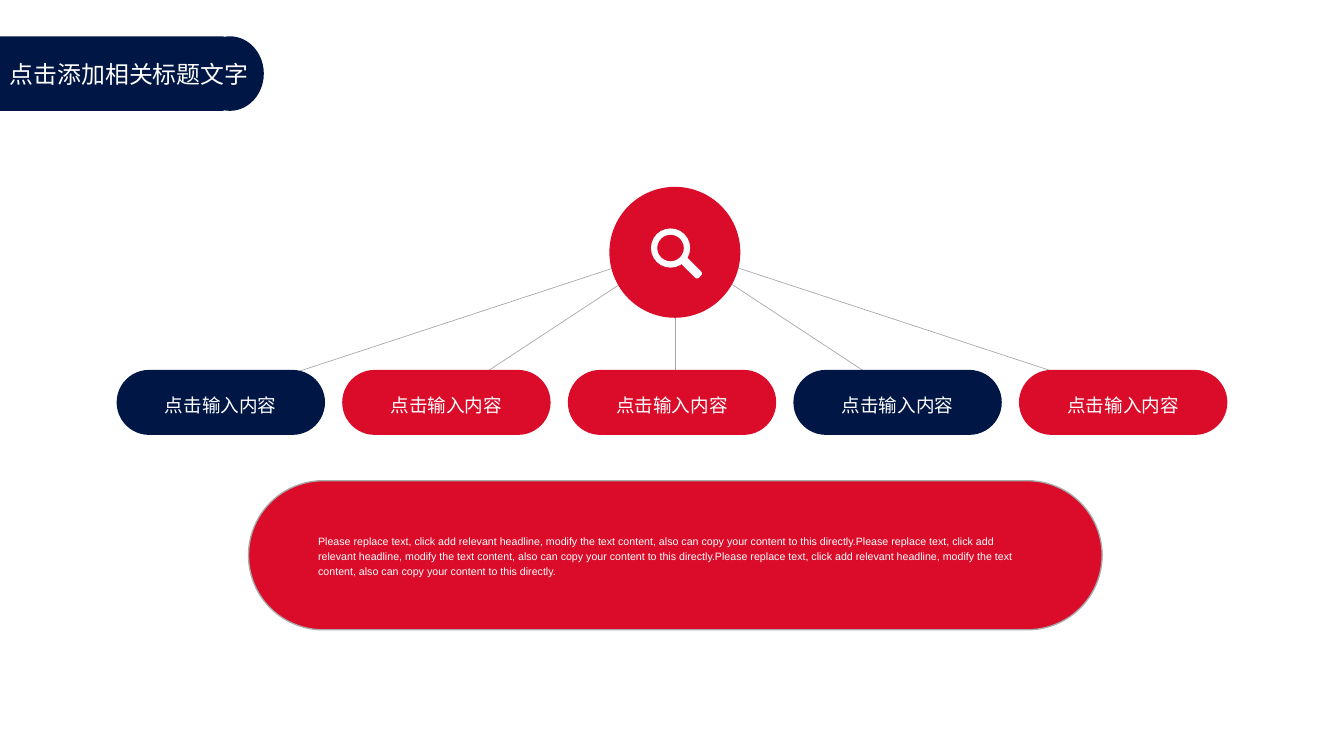
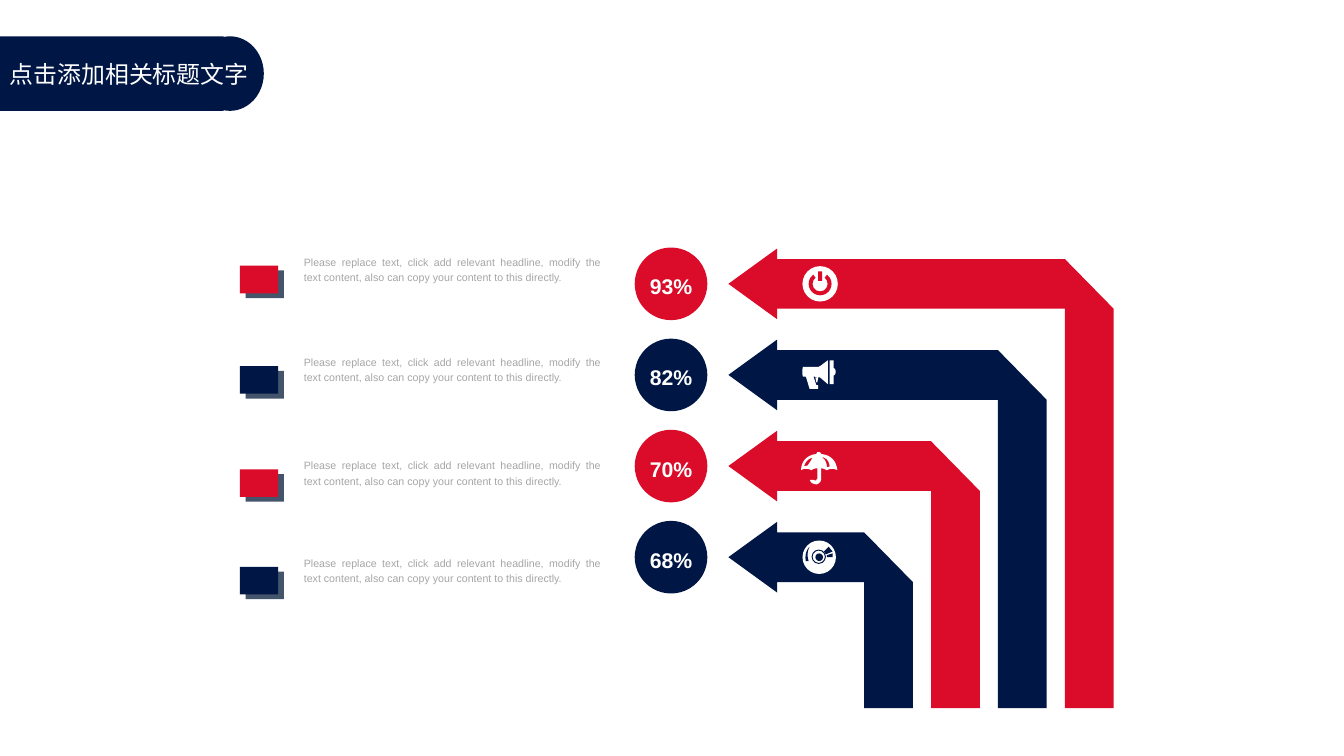
from dataclasses import dataclass

from lxml.etree import SubElement
from pptx import Presentation
from pptx.dml.color import RGBColor
from pptx.enum.shapes import MSO_CONNECTOR, MSO_SHAPE
from pptx.enum.text import MSO_ANCHOR, MSO_AUTO_SIZE, PP_ALIGN
from pptx.oxml.ns import qn
from pptx.shapes.autoshape import Shape
from pptx.slide import Slide, SlideLayout
from pptx.text.text import TextFrame
from pptx.util import Inches, Pt

HUE = {
    "navy": "001746",
    "red": "DA0C2A",
    "white": "FFFFFF",
    "grey": "A6A6A6",
    "edge": "A6AAA9",
    "slate": "44546A",
}
CJK = "Noto Sans CJK SC"
HEAD = "点击添加相关标题文字"
ITEM = "点击输入内容"
BODY = (
    "Please replace text, click add relevant headline, modify the text content, "
    "also can copy your content to this directly."
)
Point = tuple[float, ...]


@dataclass(frozen=True)
class Style:
    size: int
    hue: str = "white"
    align: PP_ALIGN = PP_ALIGN.LEFT
    bold: bool = False
    font: str = "Arial"
    lead: float = 1.2


@dataclass(frozen=True)
class Row:
    share: str
    hue: str
    top: float


TITLE = Style(18, font=CJK, lead=1.0)
PILL = Style(14, align=PP_ALIGN.CENTER)
PANEL = Style(8)
SHARE = Style(16, align=PP_ALIGN.CENTER, bold=True)
NOTE = Style(8, "grey", PP_ALIGN.JUSTIFY)

PILLS = ["navy", "red", "red", "navy", "red"]
ROWS = [
    Row("93%", "red", 2.6),
    Row("82%", "navy", 3.65),
    Row("70%", "red", 4.73),
    Row("68%", "navy", 5.75),
]

HORN: list[list[Point]] = [
    [(8.4, 3.84), (8.56, 3.84), (8.58, 3.83), (8.66, 3.77), (8.66, 4.02),
     (8.58, 3.95), (8.51, 3.94), (8.54, 4.03), (8.56, 4.03), (8.56, 4.07),
     (8.47, 4.07), (8.43, 3.94), (8.4, 3.94), (8.39, 3.91, 8.39, 3.87, 8.4, 3.84)],
    [(8.68, 3.77), (8.72, 3.77), (8.72, 3.85),
     (8.75, 3.86, 8.75, 3.92, 8.72, 3.93), (8.72, 4.02), (8.68, 4.02)],
    [(8.53, 3.95), (8.56, 3.95), (8.55, 4.0), (8.54, 4.0)],
]
SHADE: list[list[Point]] = [
    [(8.47, 5.02), (8.51, 5.02), (8.53, 5.03), (8.55, 5.01), (8.55, 4.9),
     (8.52, 4.9, 8.5, 4.91, 8.49, 4.92), (8.45, 4.9, 8.41, 4.9, 8.38, 4.92),
     (8.38, 4.83, 8.44, 4.76, 8.54, 4.75), (8.55, 4.73), (8.58, 4.73),
     (8.59, 4.75), (8.7, 4.76, 8.75, 4.83, 8.76, 4.92),
     (8.72, 4.9, 8.69, 4.9, 8.65, 4.92), (8.63, 4.91, 8.61, 4.9, 8.59, 4.9),
     (8.59, 5.01), (8.59, 5.03, 8.58, 5.05, 8.56, 5.06),
     (8.55, 5.07, 8.53, 5.07, 8.51, 5.06), (8.49, 5.06, 8.48, 5.04, 8.47, 5.02)],
    [(8.65, 4.89), (8.68, 4.88), (8.67, 4.81, 8.64, 4.79, 8.59, 4.78),
     (8.63, 4.8, 8.65, 4.84, 8.65, 4.89)],
    [(8.41, 4.88), (8.45, 4.87), (8.47, 4.84, 8.49, 4.81, 8.5, 4.79),
     (8.45, 4.8, 8.43, 4.83, 8.41, 4.88)],
]
MARKS: list[list[Point]] = [
    [(8.47, 5.72), (8.43, 5.76, 8.42, 5.82, 8.43, 5.87), (8.46, 5.87),
     (8.44, 5.81, 8.45, 5.76, 8.47, 5.72)],
    [(8.62, 5.77), (8.64, 5.8), (8.71, 5.77), (8.67, 5.72)],
    [(8.65, 5.81), (8.65, 5.83), (8.71, 5.83), (8.71, 5.79)],
]


def tint(hue: str) -> RGBColor:
    return RGBColor.from_string(HUE[hue])


def paint(shape: Shape, hue: str) -> Shape:
    shape.shadow.inherit = False
    shape.fill.solid()
    shape.fill.fore_color.rgb = tint(hue)
    shape.line.fill.background()
    return shape


def draw(slide: Slide, kind: MSO_SHAPE, left: float, top: float, wide: float,
         high: float, hue: str, *tweaks: float) -> Shape:
    shape = slide.shapes.add_shape(
        kind, Inches(left), Inches(top), Inches(wide), Inches(high))
    for k, value in enumerate(tweaks):
        shape.adjustments[k] = value
    return paint(shape, hue)


def disc(slide: Slide, x: float, y: float, size: float, hue: str) -> Shape:
    return draw(slide, MSO_SHAPE.OVAL, x - size / 2, y - size / 2, size, size, hue)


def bend(start: Point, curve: Point) -> list[Point]:
    x0, y0 = start
    x1, y1, x2, y2, x3, y3 = curve
    dots = []
    for k in range(1, 9):
        t = k / 8
        u = 1 - t
        a, b, c, d = u**3, 3 * u * u * t, 3 * u * t * t, t**3
        dots.append((a * x0 + b * x1 + c * x2 + d * x3,
                     a * y0 + b * y1 + c * y2 + d * y3))
    return dots


def trace(slide: Slide, loops: list[list[Point]], hue: str) -> Shape:
    pen = None
    for loop in loops:
        dots = [loop[0]]
        for step in loop[1:]:
            dots += bend(dots[-1], step) if len(step) == 6 else [step]
        spots = [(Inches(x), Inches(y)) for x, y in dots]
        if pen is None:
            pen = slide.shapes.build_freeform(*spots[0], scale=1.0)
        else:
            pen.move_to(*spots[0])
        pen.add_line_segments(spots[1:], close=True)
    return paint(pen.convert_to_shape(), hue)


def write(frame: TextFrame, text: str, style: Style) -> None:
    para = frame.paragraphs[0]
    para.alignment = style.align
    para.line_spacing = style.lead
    run = para.add_run()
    run.text = text
    font = run.font
    font.name = style.font
    font.size = Pt(style.size)
    font.bold = style.bold
    font.color.rgb = tint(style.hue)
    east = SubElement(run._r.get_or_add_rPr(), qn("a:ea"))
    east.set("typeface", CJK)


def label(shape: Shape, text: str, style: Style, wrap: bool = True,
          left: float = 0, right: float = 0) -> None:
    frame = shape.text_frame
    frame.word_wrap = wrap
    frame.vertical_anchor = MSO_ANCHOR.MIDDLE
    frame.margin_left, frame.margin_right = Inches(left), Inches(right)
    frame.margin_top = frame.margin_bottom = 0
    write(frame, text, style)


def band(slide: Slide, layout: SlideLayout) -> None:
    parts = [
        draw(slide, MSO_SHAPE.RECTANGLE, 0, 0.38, 2.34, 0.78, "navy"),
        draw(slide, MSO_SHAPE.OVAL, 2.05, 0.38, 0.71, 0.78, "navy"),
    ]
    for k, part in enumerate(parts):
        part.element.xpath(".//p:cNvPr")[0].set("id", str(20 + k))
        layout.shapes.element.insert(2 + k, part.element)


def head(slide: Slide) -> None:
    title = slide.shapes.title
    title.left, title.top = Inches(0), Inches(0.57)
    title.width, title.height = Inches(2.76), Inches(0.4)
    title.text_frame.auto_size = MSO_AUTO_SIZE.NONE
    label(title, HEAD, TITLE, left=0.1, right=0.1)


def ray(slide: Slide, x: float) -> None:
    line = slide.shapes.add_connector(
        MSO_CONNECTOR.STRAIGHT, Inches(7.07), Inches(2.59), Inches(x), Inches(4.16))
    line.line.color.rgb = tint("grey")
    line.line.width = Pt(0.5)
    SubElement(line.element.spPr, qn("a:effectLst"))


def hub(slide: Slide) -> None:
    for k in range(len(PILLS)):
        ray(slide, 2.29 + 2.39 * k)
    for k, hue in enumerate(PILLS):
        pill = draw(slide, MSO_SHAPE.ROUNDED_RECTANGLE,
                    1.22 + 2.36 * k, 3.87, 2.18, 0.68, hue, 0.5)
        label(pill, ITEM, PILL)
    panel = draw(slide, MSO_SHAPE.ROUNDED_RECTANGLE,
                 2.6, 5.03, 8.93, 1.56, "red", 0.5)
    panel.line.color.rgb = tint("edge")
    panel.line.width = Pt(1)
    label(panel, BODY * 3, PANEL, left=0.5, right=0.59)
    disc(slide, 7.06, 2.64, 1.37, "red")
    draw(slide, MSO_SHAPE.DONUT, 6.81, 2.39, 0.41, 0.41, "white", 0.16)
    grip = draw(slide, MSO_SHAPE.ROUNDED_RECTANGLE,
                7.11, 2.76, 0.25, 0.09, "white", 0.3)
    grip.rotation = 45


def arrow(slide: Slide, mid: float, edge: float, hue: str) -> None:
    tip, neck, foot = 7.62, 8.13, 7.41
    wing, half, thick = 0.37, 0.26, 0.51
    trace(slide, [[
        (tip, mid), (neck, mid - wing), (neck, mid - half),
        (edge - thick, mid - half), (edge, mid + half), (edge, foot),
        (edge - thick, foot), (edge - thick, mid + half),
        (neck, mid + half), (neck, mid + wing),
    ]], hue)


def note(slide: Slide, row: Row) -> None:
    for x, y, hue in ((2.57, 0.23, "slate"), (2.51, 0.18, row.hue)):
        draw(slide, MSO_SHAPE.RECTANGLE, x, row.top + y, 0.4, 0.29, hue)
    box = slide.shapes.add_textbox(
        Inches(3.08), Inches(row.top), Inches(3.31), Inches(0.41))
    box.text_frame.word_wrap = True
    write(box.text_frame, BODY, NOTE)


def icons(slide: Slide) -> None:
    disc(slide, 8.58, 2.97, 0.37, "white")
    draw(slide, MSO_SHAPE.BLOCK_ARC, 8.46, 2.85, 0.24, 0.24, "red",
         307 * 0.6, 233 * 0.6, 0.17)
    draw(slide, MSO_SHAPE.RECTANGLE, 8.56, 2.84, 0.04, 0.1, "red")
    trace(slide, HORN, "white")
    trace(slide, SHADE, "white")
    disc(slide, 8.57, 5.83, 0.35, "white")
    draw(slide, MSO_SHAPE.DONUT, 8.49, 5.75, 0.15, 0.15, "navy", 0.07)
    disc(slide, 8.57, 5.83, 0.08, "navy")
    trace(slide, MARKS, "navy")


def shares(slide: Slide) -> None:
    for k, row in enumerate(ROWS):
        mid = 2.97 + 2.86 / 3 * k
        label(disc(slide, 7.02, mid, 0.76, row.hue), row.share, SHARE, wrap=False)
        arrow(slide, mid, 11.65 - 0.7 * k, row.hue)
        note(slide, row)
    icons(slide)


def main() -> None:
    deck = Presentation()
    deck.slide_width, deck.slide_height = Inches(14.06), Inches(7.91)
    layout = deck.slide_layouts[5]
    for k, fill in enumerate((hub, shares)):
        slide = deck.slides.add_slide(layout)
        if k == 0:
            band(slide, layout)
        head(slide)
        fill(slide)
    deck.save("out.pptx")


if __name__ == "__main__":
    main()
